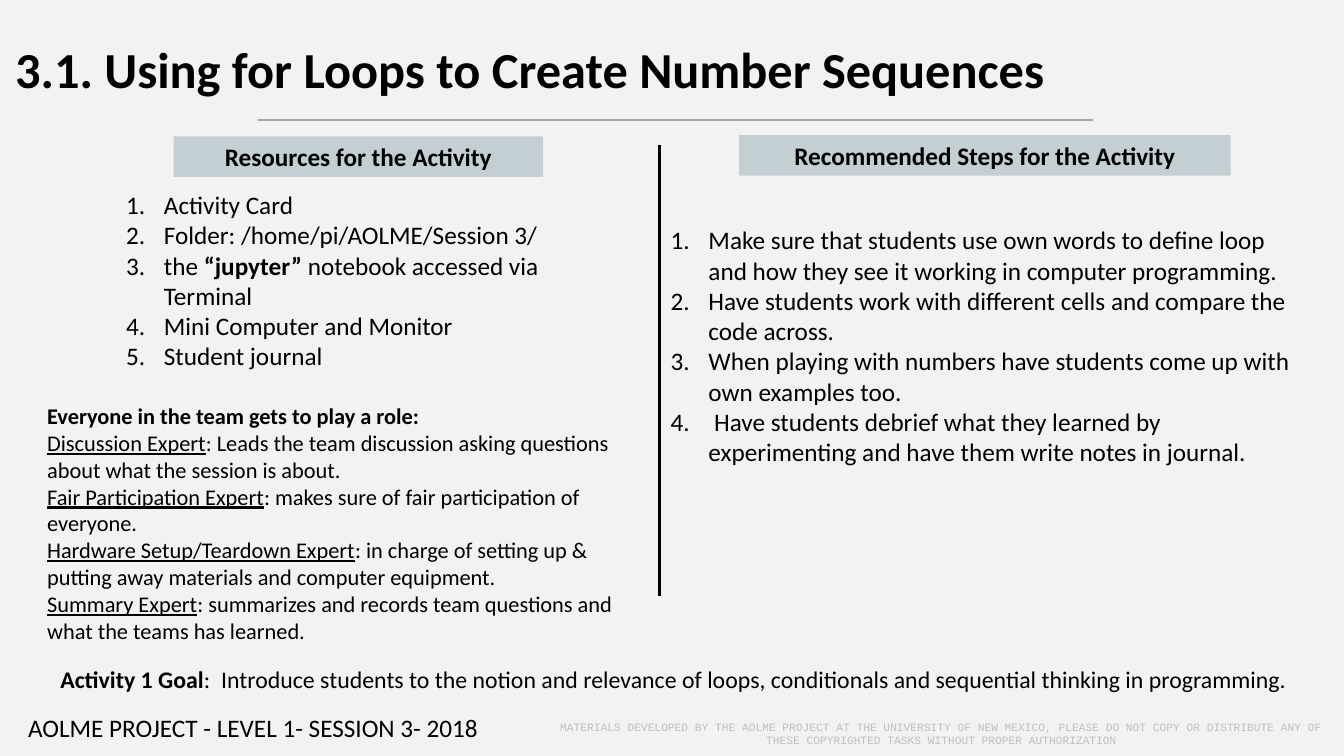
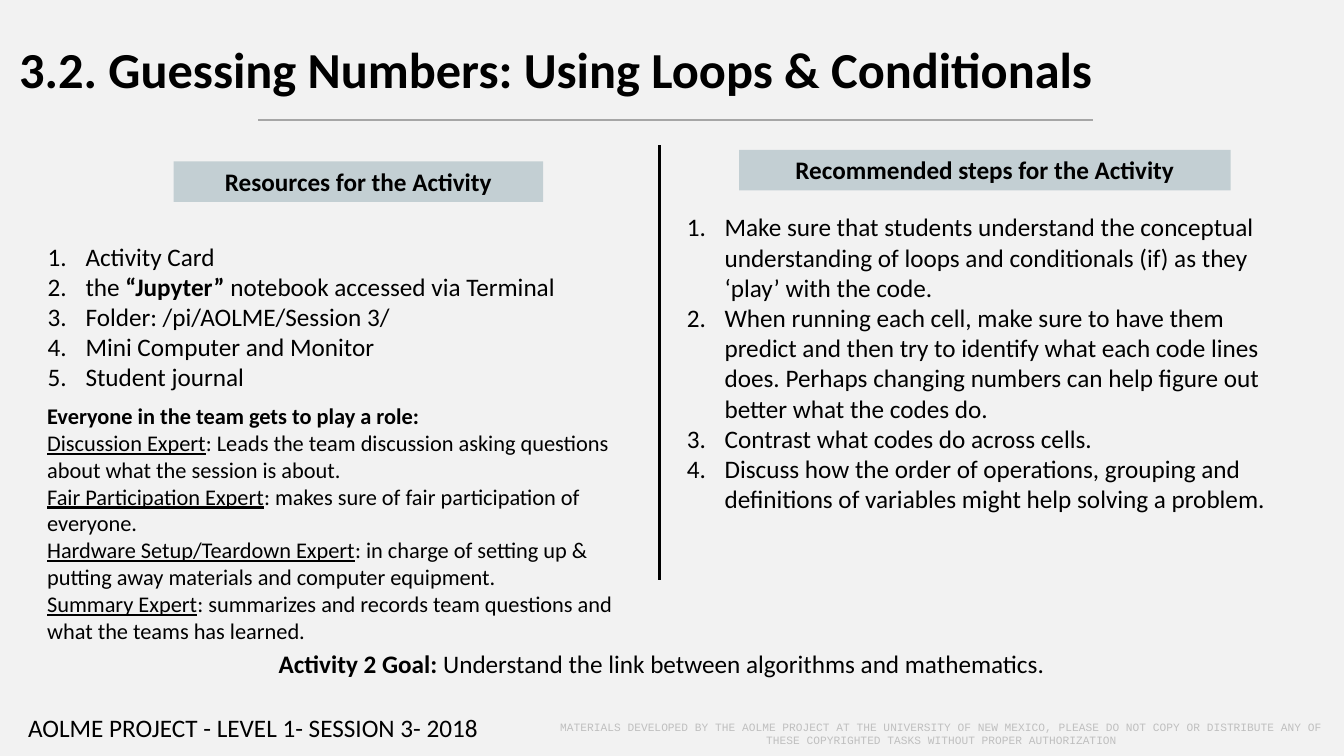
"""Build the two activity slides of session 3."""
from lxml import etree
from pptx import Presentation
from pptx.dml.color import RGBColor
from pptx.enum.shapes import MSO_CONNECTOR, MSO_SHAPE
from pptx.enum.text import MSO_ANCHOR, MSO_AUTO_SIZE, PP_ALIGN
from pptx.oxml.ns import qn
from pptx.util import Pt

LEFT, CENTER = PP_ALIGN.LEFT, PP_ALIGN.CENTER
TOP, MIDDLE = MSO_ANCHOR.TOP, MSO_ANCHOR.MIDDLE
NO_AUTOFIT = MSO_AUTO_SIZE.NONE
STRAIGHT, RECTANGLE = MSO_CONNECTOR.STRAIGHT, MSO_SHAPE.RECTANGLE

PAPER = RGBColor(0xF2, 0xF2, 0xF2)
INK = RGBColor(0, 0, 0)
BAND = RGBColor(0xC3, 0xCF, 0xD3)
RULE = RGBColor(0xA6, 0xA6, 0xA6)
NOTICE_GRAY = RGBColor(0xBF, 0xBF, 0xBF)
BODY_FONT, NOTICE_FONT = "Calibri", "Courier New"

TITLE_ONLY = 5
DIVIDER_X, DIVIDER_TOP = 471, 103.7
RULE_LEFT, RULE_RIGHT, RULE_Y = 184.5, 780.5, 85.7
LIST_MARGIN, LIST_HANG = 28, 27
BAND_HEIGHT = 29

FOOTER = "AOLME PROJECT - LEVEL 1- SESSION 3- 2018"
FOOTER_BOX = (13, 505.5, 344, 29)
NOTICE = (
    "MATERIALS DEVELOPED BY THE AOLME PROJECT AT THE UNIVERSITY OF NEW MEXICO, "
    "PLEASE DO NOT COPY OR DISTRIBUTE ANY OF THESE COPYRIGHTED TASKS WITHOUT "
    "PROPER AUTHORIZATION"
)
NOTICE_BOX = (388, 510.5, 569.5, 27)

ROLES_HEADING = "Everyone in the team gets to play a role:"
ROLES = [
    ("Discussion Expert",
     ": Leads the team discussion asking questions about what the session is about."),
    ("Fair Participation Expert",
     ": makes sure of fair participation of everyone."),
    ("Hardware Setup/Teardown Expert",
     ": in charge of setting up & putting away materials and computer equipment."),
    ("Summary Expert",
     ": summarizes and records team questions and what the teams has learned."),
]
ROLES_BOX = (26.6, 283.7, 431, 181)

ACTIVITIES = [
    {
        "title": "3.1. Using for Loops to Create Number Sequences",
        "title_left": 3.6,
        "divider_bottom": 426,
        "bands": [("Resources for the Activity", 124, 97.4, 264),
                  ("Recommended Steps for the Activity", 528, 96.5, 351)],
        "resources": [
            "Activity Card",
            "Folder: /home/pi/AOLME/Session 3/",
            [("the ", ""), ("“jupyter” ", "b"), ("notebook accessed via Terminal", "")],
            "Mini Computer and Monitor",
            "Student journal",
        ],
        "resources_box": (82, 131.8, 348, 160),
        "steps": [
            "Make sure that students use own words to define loop and how they see "
            "it working in computer programming.",
            "Have students work with different cells and compare the code across.",
            "When playing with numbers have students come up with own examples too.",
            " Have students debrief what they learned by experimenting and have them "
            "write notes in journal.",
        ],
        "steps_box": (471, 157, 465, 181),
        "goal": [("Activity 1 Goal", "b"),
                 (":  Introduce students to the notion and relevance of loops, "
                  "conditionals and sequential thinking in programming.", "")],
        "goal_box": (36, 471, 910, 28),
        "goal_size": 17,
    },
    {
        "title": "3.2. Guessing Numbers: Using Loops & Conditionals",
        "title_left": 6.5,
        "divider_bottom": 414,
        "bands": [("Resources for the Activity", 124, 115.2, 264),
                  ("Recommended steps for the Activity", 528, 107, 351)],
        "resources": [
            "Activity Card",
            [("the ", ""), ("“Jupyter” ", "b"), ("notebook accessed via Terminal", "")],
            "Folder: /pi/AOLME/Session 3/",
            "Mini Computer and Monitor",
            "Student journal",
        ],
        "resources_box": (26, 168.5, 445, 117),
        "steps": [
            "Make sure that students understand the conceptual understanding of "
            "loops and conditionals (if) as they ‘play’ with the code.",
            "When running each cell, make sure to have them predict and then try to "
            "identify what each code lines does. Perhaps changing numbers can help "
            "figure out better what the codes do.",
            "Contrast what codes do across cells.",
            "Discuss how the order of operations, grouping and definitions of "
            "variables might help solving a problem.",
        ],
        "steps_box": (482.5, 147.6, 448.5, 225),
        "goal": [("Activity 2 Goal: ", "b"),
                 ("Understand the link between algorithms and mathematics.", "")],
        "goal_box": (192, 459.4, 672, 29),
        "goal_size": 18,
    },
]


def points(values):
    """Convert plain numbers to point lengths."""
    return [Pt(value) for value in values]


def number_paragraph(paragraph):
    """Give a paragraph automatic numbering with a hanging indent."""
    properties = paragraph._p.get_or_add_pPr()
    properties.set("marL", str(Pt(LIST_MARGIN)))
    properties.set("indent", str(-Pt(LIST_HANG)))
    etree.SubElement(properties, qn("a:buAutoNum"), type="arabicPeriod")


def write_text(shape, lines, size=18, color=INK, font=BODY_FONT,
               align=LEFT, anchor=TOP, numbered=False):
    """Write lines, each a string or a list of (text, style) runs."""
    frame = shape.text_frame
    frame.word_wrap = True
    frame.auto_size = NO_AUTOFIT
    frame.vertical_anchor = anchor
    for index, line in enumerate(lines):
        paragraph = frame.add_paragraph() if index else frame.paragraphs[0]
        paragraph.alignment = align
        if numbered:
            number_paragraph(paragraph)
        for text, style in [(line, "")] if isinstance(line, str) else line:
            run = paragraph.add_run()
            run.text = text
            run.font.name = font
            run.font.size = Pt(size)
            run.font.color.rgb = color
            run.font.bold = style == "b"
            run.font.underline = style == "u"


def add_text(slide, box, lines, **formatting):
    """Add a text box."""
    write_text(slide.shapes.add_textbox(*points(box)), lines, **formatting)


def add_line(slide, ends, color, width):
    """Add a straight line without a shadow."""
    line = slide.shapes.add_connector(STRAIGHT, *points(ends))
    line.line.color.rgb = color
    line.line.width = Pt(width)
    etree.SubElement(line._element.spPr, qn("a:effectLst"))


def add_band(slide, heading, left, top, width):
    """Add a filled column heading."""
    band = slide.shapes.add_shape(RECTANGLE, *points((left, top, width, BAND_HEIGHT)))
    band.shadow.inherit = False
    band.fill.solid()
    band.fill.fore_color.rgb = BAND
    band.line.fill.background()
    write_text(band, [[(heading, "b")]], align=CENTER)


def set_title(slide, text, left):
    """Place and format the title placeholder."""
    title = slide.shapes.title
    title.left, title.top, title.width, title.height = points((left, 23.8, 932, 51))
    write_text(title, [[(text, "b")]], size=36)


def add_activity(presentation, activity):
    """Add one activity slide."""
    slide = presentation.slides.add_slide(presentation.slide_layouts[TITLE_ONLY])
    set_title(slide, activity["title"], activity["title_left"])
    add_line(slide, (DIVIDER_X, DIVIDER_TOP, DIVIDER_X, activity["divider_bottom"]),
             INK, 2.25)
    add_line(slide, (RULE_LEFT, RULE_Y, RULE_RIGHT, RULE_Y), RULE, 1)
    for band in activity["bands"]:
        add_band(slide, *band)
    for column in ("resources", "steps"):
        add_text(slide, activity[column + "_box"], activity[column], numbered=True)
    roles = [[(name, "u"), (duty, "")] for name, duty in ROLES]
    add_text(slide, ROLES_BOX, [[(ROLES_HEADING, "b")]] + roles, size=16)
    add_text(slide, activity["goal_box"], [activity["goal"]], size=activity["goal_size"])
    add_text(slide, FOOTER_BOX, [FOOTER])
    add_text(slide, NOTICE_BOX, [NOTICE], size=8, color=NOTICE_GRAY,
             font=NOTICE_FONT, align=CENTER, anchor=MIDDLE)


def main():
    """Build and save the presentation."""
    presentation = Presentation()
    presentation.slide_width, presentation.slide_height = points((960, 540))
    background = presentation.slide_master.background.fill
    background.solid()
    background.fore_color.rgb = PAPER
    for activity in ACTIVITIES:
        add_activity(presentation, activity)
    presentation.save("out.pptx")


if __name__ == "__main__":
    main()
